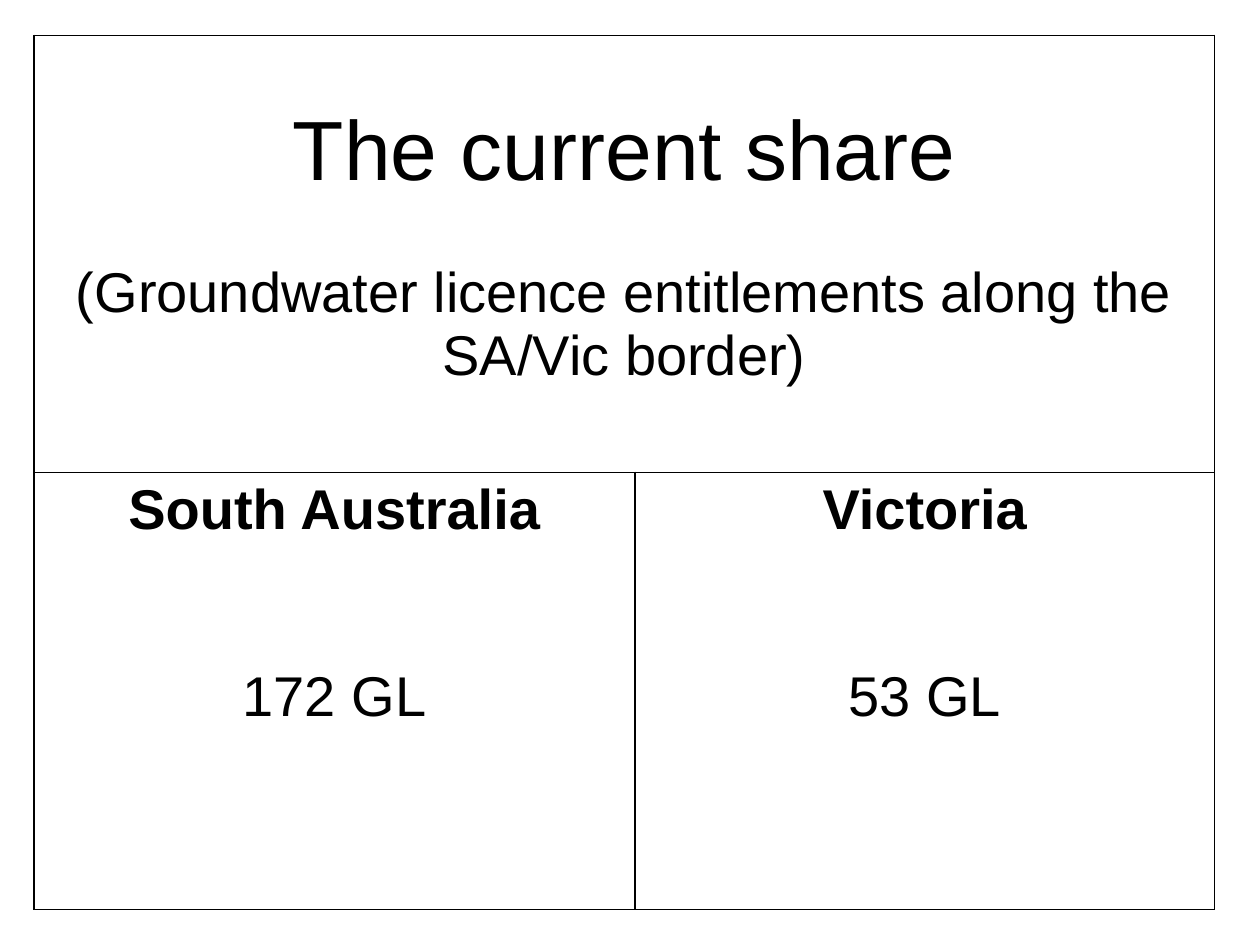
from pptx import Presentation
from pptx.dml.color import RGBColor
from pptx.enum.text import PP_ALIGN
from pptx.oxml.ns import qn
from pptx.util import Inches, Pt
from lxml import etree

CENTER = PP_ALIGN.CENTER
BLANK_LAYOUT = 6
BLACK = "000000"
FONT = "Arial"
SHARES = [("South Australia", "172 GL"), ("Victoria", "53 GL")]


def color(value):
    return RGBColor.from_string(value)


def write(p, text, size=32, bold=False, before=0):
    p.alignment = CENTER
    p.space_before = Pt(before)
    r = p.add_run()
    r.text = text
    r.font.name = FONT
    r.font.size = Pt(size)
    r.font.bold = bold
    r.font.color.rgb = color(BLACK)


def outline(cell, width=1):
    """Give the cell a line on every side and no fill."""
    props = cell._tc.get_or_add_tcPr()
    for side in ("a:lnL", "a:lnR", "a:lnT", "a:lnB"):
        ln = etree.SubElement(props, qn(side), w=str(Pt(width)))
        fill = etree.SubElement(ln, qn("a:solidFill"))
        etree.SubElement(fill, qn("a:srgbClr"), val=BLACK)
    cell.fill.background()


def add_share_table(slide, left, top, col_widths, row_height):
    frame = slide.shapes.add_table(2, len(col_widths), left, top,
                                   sum(col_widths), 2 * row_height)
    table = frame.table
    table.first_row = False
    table.horz_banding = False
    for column, width in zip(table.columns, col_widths):
        column.width = width
    for row in table.rows:
        row.height = row_height
        for cell in row.cells:
            outline(cell)

    heading = table.cell(0, 0)
    heading.merge(table.cell(0, len(col_widths) - 1))
    heading.margin_top = Inches(0.55)
    tf = heading.text_frame
    write(tf.paragraphs[0], "The current share", size=48)
    write(tf.add_paragraph(),
          "(Groundwater licence entitlements along the SA/Vic border)", before=36)

    for col, (state, volume) in enumerate(SHARES):
        tf = table.cell(1, col).text_frame
        write(tf.paragraphs[0], state, bold=True)
        write(tf.add_paragraph(), volume, before=71)


def main():
    prs = Presentation()
    prs.slide_width = Inches(10)
    prs.slide_height = Inches(7.5)
    slide = prs.slides.add_slide(prs.slide_layouts[BLANK_LAYOUT])
    add_share_table(slide, Inches(0.27), Inches(0.28),
                    [Inches(4.77), Inches(4.6)], Inches(3.47))
    prs.save("out.pptx")


if __name__ == "__main__":
    main()
